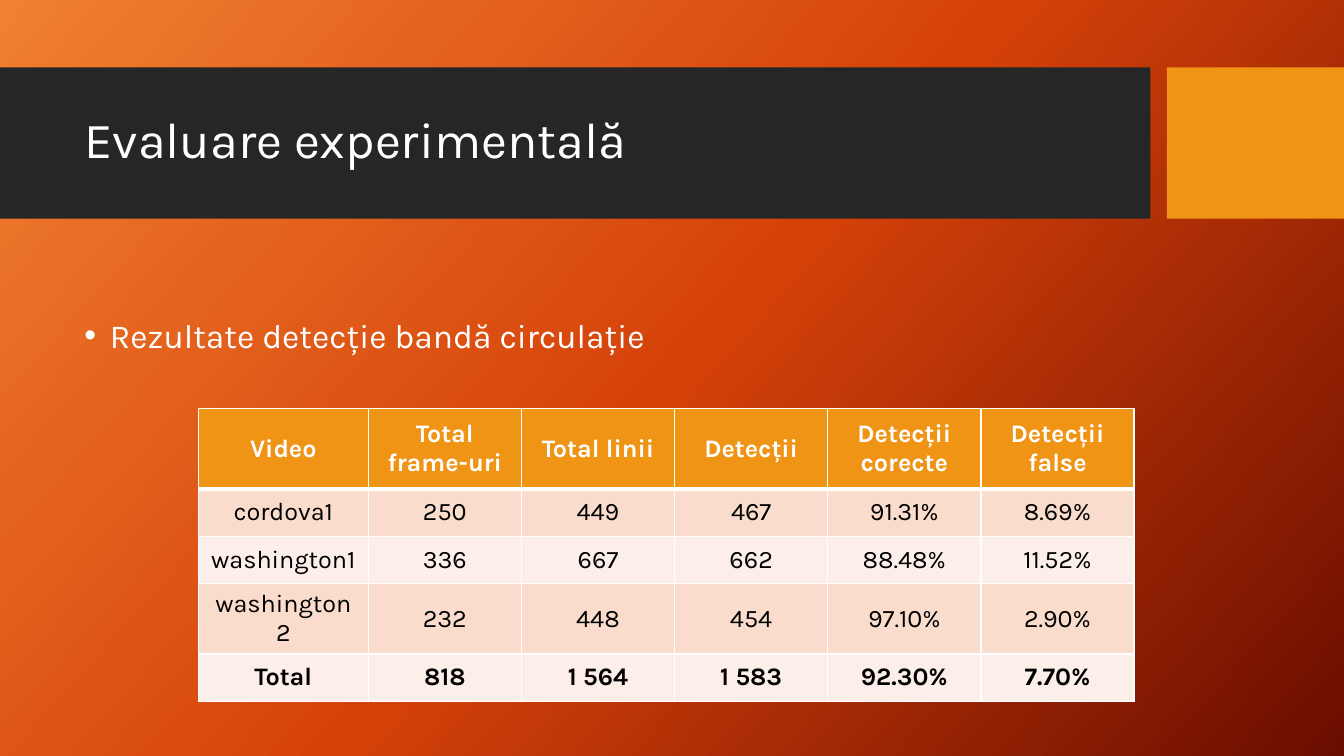
from pptx import Presentation
from pptx.dml.color import RGBColor
from pptx.enum.shapes import MSO_SHAPE as Shape
from pptx.enum.text import MSO_ANCHOR as Anchor, PP_ALIGN as Align
from pptx.oxml import parse_xml
from pptx.oxml.ns import nsdecls, qn
from pptx.util import Cm, Pt

WHITE = RGBColor(0xFF, 0xFF, 0xFF)
BLACK = RGBColor(0x00, 0x00, 0x00)
CHARCOAL = RGBColor(0x26, 0x26, 0x26)
AMBER = RGBColor(0xF0, 0x94, 0x15)
PEACH = RGBColor(0xF9, 0xDC, 0xCC)
PALE_PEACH = RGBColor(0xFC, 0xEE, 0xE8)
GRADIENT = [
    (0, RGBColor(0xF1, 0x80, 0x31)),
    (50, RGBColor(0xD5, 0x42, 0x09)),
    (100, RGBColor(0x6A, 0x0D, 0x00)),
]
FONT = "Karla"

RESULTS = [
    ["Video", "Total frame-uri", "Total linii", "Detecții", "Detecții corecte", "Detecții false"],
    ["cordova1", "250", "449", "467", "91.31%", "8.69%"],
    ["washington1", "336", "667", "662", "88.48%", "11.52%"],
    ["washington2", "232", "448", "454", "97.10%", "2.90%"],
    ["Total", "818", "1 564", "1 583", "92.30%", "7.70%"],
]
COLUMN_WIDTHS = [4.28] + [3.86] * 5
ROW_HEIGHTS = [2.03] + [1.19] * 4


def paint_background(slide):
    fill = slide.background.fill
    fill.gradient()
    fill.gradient_angle = 360 - 42
    stops = slide.element.find(".//" + qn("a:gsLst"))
    for stop in list(stops):
        stops.remove(stop)
    for percent, color in GRADIENT:
        stops.append(parse_xml(
            f'<a:gs {nsdecls("a")} pos="{percent * 1000}"><a:srgbClr val="{color}"/></a:gs>'))


def add_band(slide, left, width, color):
    band = slide.shapes.add_shape(Shape.RECTANGLE, Cm(left), Cm(1.7), Cm(width), Cm(3.81))
    band.shadow.inherit = False
    band.fill.solid()
    band.fill.fore_color.rgb = color
    band.line.fill.background()


def style_font(paragraph, size, color, bold=False):
    font = paragraph.font
    font.name, font.size, font.bold = FONT, Pt(size), bold
    font.color.rgb = color


def add_text(slide, text, top, height, size, anchor, bullet=False):
    frame = slide.shapes.add_textbox(Cm(1.88), Cm(top), Cm(26.7), Cm(height)).text_frame
    frame.word_wrap = True
    frame.vertical_anchor = anchor
    paragraph = frame.paragraphs[0]
    paragraph.text = text
    paragraph.line_spacing = 0.9
    if bullet:
        properties = paragraph._p.get_or_add_pPr()
        properties.set("marL", str(Cm(0.64)))
        properties.set("indent", str(-Cm(0.64)))
        properties.append(parse_xml(f'<a:buFont {nsdecls("a")} typeface="Arial"/>'))
        properties.append(parse_xml(f'<a:buChar {nsdecls("a")} char="•"/>'))
    style_font(paragraph, size, WHITE)


def add_borders(cell, top, bottom):
    widths = {"lnL": 1, "lnR": 1, "lnT": top, "lnB": bottom}
    for place, (side, width) in enumerate(widths.items()):
        cell._tc.get_or_add_tcPr().insert(place, parse_xml(
            f'<a:{side} {nsdecls("a")} w="{Pt(width)}"><a:solidFill>'
            f'<a:srgbClr val="{WHITE}"/></a:solidFill></a:{side}>'))


def fill_cell(cell, text, row):
    is_header = row == 0
    cell.text = text
    cell.vertical_anchor = Anchor.MIDDLE
    cell.fill.solid()
    cell.fill.fore_color.rgb = AMBER if is_header else PEACH if row % 2 else PALE_PEACH
    paragraph = cell.text_frame.paragraphs[0]
    paragraph.alignment = Align.CENTER
    style_font(paragraph, 18, WHITE if is_header else BLACK,
               bold=row in (0, len(RESULTS) - 1))
    # A thick rule separates the header from the results
    add_borders(cell, top=3 if row == 1 else 1, bottom=3 if is_header else 1)


def add_results(slide):
    results = slide.shapes.add_table(
        len(ROW_HEIGHTS), len(COLUMN_WIDTHS), Cm(5), Cm(10.29),
        Cm(sum(COLUMN_WIDTHS)), Cm(sum(ROW_HEIGHTS))).table
    for column, width in zip(results.columns, COLUMN_WIDTHS):
        column.width = Cm(width)
    for row, height in zip(results.rows, ROW_HEIGHTS):
        row.height = Cm(height)
    for row, texts in enumerate(RESULTS):
        for column, text in enumerate(texts):
            fill_cell(results.cell(row, column), text, row)


def main():
    deck = Presentation()
    deck.slide_width, deck.slide_height = Cm(33.87), Cm(19.05)
    slide = deck.slides.add_slide(deck.slide_layouts[6])
    paint_background(slide)

    # Title band with its accent block
    add_band(slide, 0, 28.99, CHARCOAL)
    add_band(slide, 29.41, 4.46, AMBER)
    add_text(slide, "Evaluare experimentală", 2.08, 3, 36, Anchor.MIDDLE)

    # Detection results
    add_text(slide, "Rezultate detecție bandă circulație", 7.92, 2, 24, Anchor.TOP, bullet=True)
    add_results(slide)

    deck.save("out.pptx")


if __name__ == "__main__":
    main()
